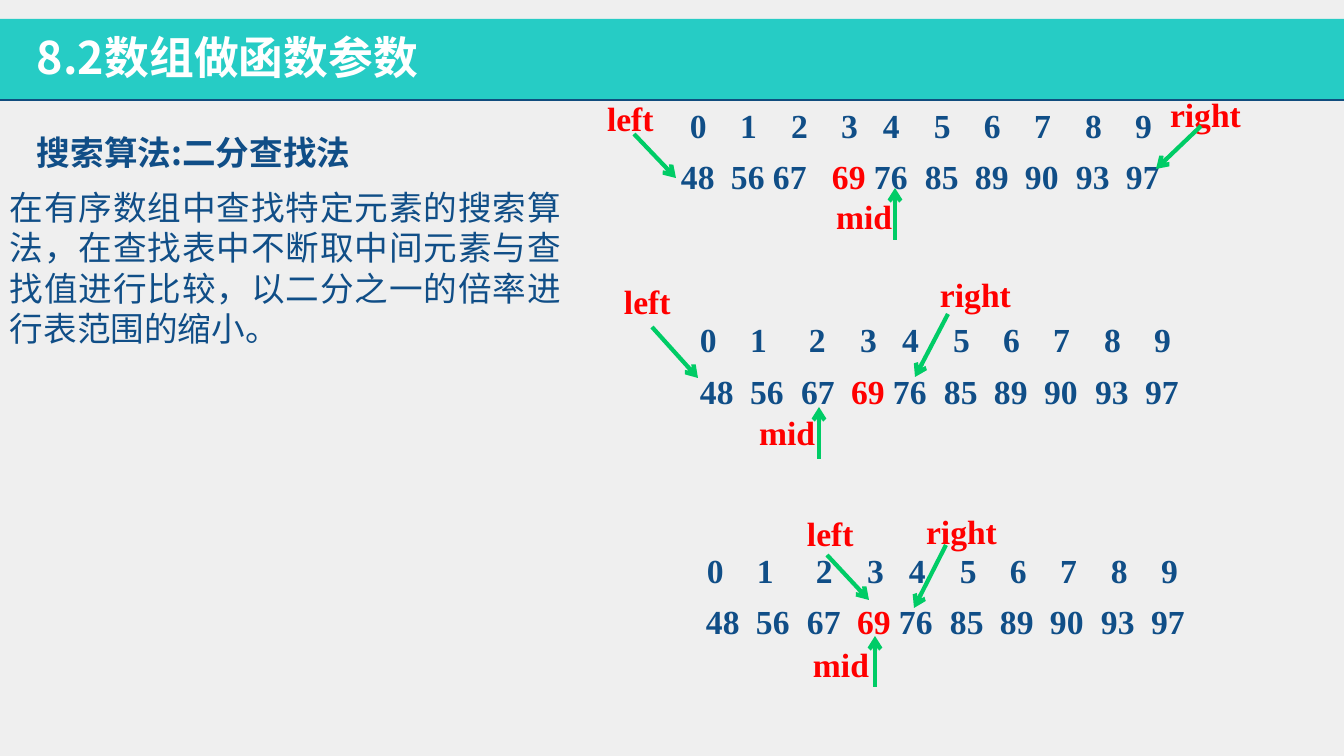
from dataclasses import dataclass
from lxml.etree import SubElement
from pptx import Presentation
from pptx.dml.color import RGBColor
from pptx.enum.shapes import MSO_CONNECTOR, MSO_SHAPE
from pptx.enum.text import MSO_ANCHOR, PP_ALIGN
from pptx.oxml.ns import qn
from pptx.util import Pt


@dataclass
class Theme:
    back: RGBColor = RGBColor.from_string("EFEFEF")
    band: RGBColor = RGBColor.from_string("26CCC5")
    rule: RGBColor = RGBColor.from_string("104D7E")
    ink: RGBColor = RGBColor.from_string("104E87")
    mark: RGBColor = RGBColor.from_string("FF0000")
    arrow: RGBColor = RGBColor.from_string("00CC66")
    white: RGBColor = RGBColor.from_string("FFFFFF")
    head: int = 32
    text: int = 24
    sans: str = "Noto Sans CJK JP"
    serif: str = "Times New Roman"


theme = Theme()
PX = 9071  # EMU in one px
INSET = 10

deck = Presentation()
deck.slide_width, deck.slide_height = 1344 * PX, 756 * PX
slide = deck.slides.add_slide(deck.slide_layouts[5])
slide.background.fill.solid()
slide.background.fill.fore_color.rgb = theme.back
shapes = slide.shapes


def write(box, at, text, color, font=theme.serif, size=theme.text, bold=True, tabs=()):
    """Place a box and fill its one paragraph; a list gives (text, color) runs."""
    box.left, box.top, box.width, box.height = [n * PX for n in at]
    frame = box.text_frame
    frame.word_wrap = True
    frame.vertical_anchor = MSO_ANCHOR.TOP
    frame.margin_left = frame.margin_right = INSET * PX
    frame.margin_top = frame.margin_bottom = 5 * PX
    para = frame.paragraphs[0]
    para.alignment = PP_ALIGN.LEFT
    props = para._p.get_or_add_pPr()
    if tabs:
        stops = SubElement(props, qn("a:tabLst"))
        for stop in tabs:
            SubElement(stops, qn("a:tab"), pos=str(stop * PX), algn="l")
    para.font.name, para.font.size = font, Pt(size)
    para.font.bold, para.font.color.rgb = bold, color
    SubElement(props.find(qn("a:defRPr")), qn("a:ea"), typeface=font)
    for part, tint in text if isinstance(text, list) else [(text, color)]:
        run = para.add_run()
        run.text = part
        if tint != color:
            run.font.color.rgb = tint
    return para


def draw(start, end, color, width, tip=False):
    """Draw a line, with an open arrowhead at its end if asked."""
    ends = [n * PX for n in (*start, *end)]
    line = shapes.add_connector(MSO_CONNECTOR.STRAIGHT, *ends)
    line.line.color.rgb, line.line.width = color, Pt(width)
    if tip:
        SubElement(line.line._get_or_add_ln(), qn("a:tailEnd"), type="arrow")
    SubElement(line._element.spPr, qn("a:effectLst"))


# Title band, behind the title
band = shapes.add_shape(MSO_SHAPE.RECTANGLE, 0, 19 * PX, 1344 * PX, 80 * PX)
band.shadow.inherit = False
band.fill.solid()
band.fill.fore_color.rgb = theme.band
band.line.fill.background()
shapes._spTree.insert(2, band._element)
write(shapes.title, (27, 25, 500, 65), "8.2数组做函数参数", theme.white, theme.sans, theme.head)
draw((0, 100), (1344, 100), theme.rule, 2)

# Explanation on the left
write(shapes.add_textbox(0, 0, 0, 0), (27, 127, 355, 50), "搜索算法:二分查找法",
      theme.ink, theme.sans)
body = write(shapes.add_textbox(0, 0, 0, 0), (0, 182, 571, 173),
             "在有序数组中查找特定元素的搜索算法，在查找表中不断取中间元素与查找值进行比较，"
             "以二分之一的倍率进行表范围的缩小。", theme.ink, theme.sans, bold=False)
body.alignment = PP_ALIGN.JUSTIFY

# Search steps: each row has its place and tab stops, each label its place and arrow
keys = "\t".join(str(n) for n in range(10))
cells = [("48\t56\t67\t", theme.ink), ("69\t", theme.mark),
         ("76\t85\t89\t90\t93\t97", theme.ink)]
steps = [
    ((680, 100), (50, 101, 151), (671, 151), (50, 92, 151),
     [("left", (597, 93), (634, 134), (676, 178)),
      ("right", (1160, 89), (1201, 126), (1156, 169)),
      ("mid", (826, 191), (895, 240), (895, 188))]),
    ((690, 314), (50, 109, 160), (690, 366), (50, 101, 151),
     [("left", (614, 276), (652, 327), (698, 378)),
      ("right", (930, 269), (948, 314), (915, 377)),
      ("mid", (749, 407), (819, 459), (819, 407))]),
    ((697, 545), (50, 109, 160), (696, 596), (50, 101, 151),
     [("left", (797, 508), (827, 555), (869, 600)),
      ("right", (916, 506), (946, 545), (914, 608)),
      ("mid", (803, 639), (875, 687), (875, 636))]),
]
tail = (42, 93, 143, 193, 244, 294)  # columns 4 to 9, counted from column 3

for top, wide, low, tight, labels in steps:
    for spot, text, first in ((top, keys, wide), (low, cells, tight)):
        stops = (*first, *(first[-1] + gap for gap in tail))
        write(shapes.add_textbox(0, 0, 0, 0), (*spot, 512, 50), text, theme.ink, tabs=stops)
    for name, spot, start, end in labels:
        write(shapes.add_textbox(0, 0, 0, 0), (*spot, 96, 50), name, theme.mark)
        draw(start, end, theme.arrow, 3, tip=True)

deck.save("out.pptx")
